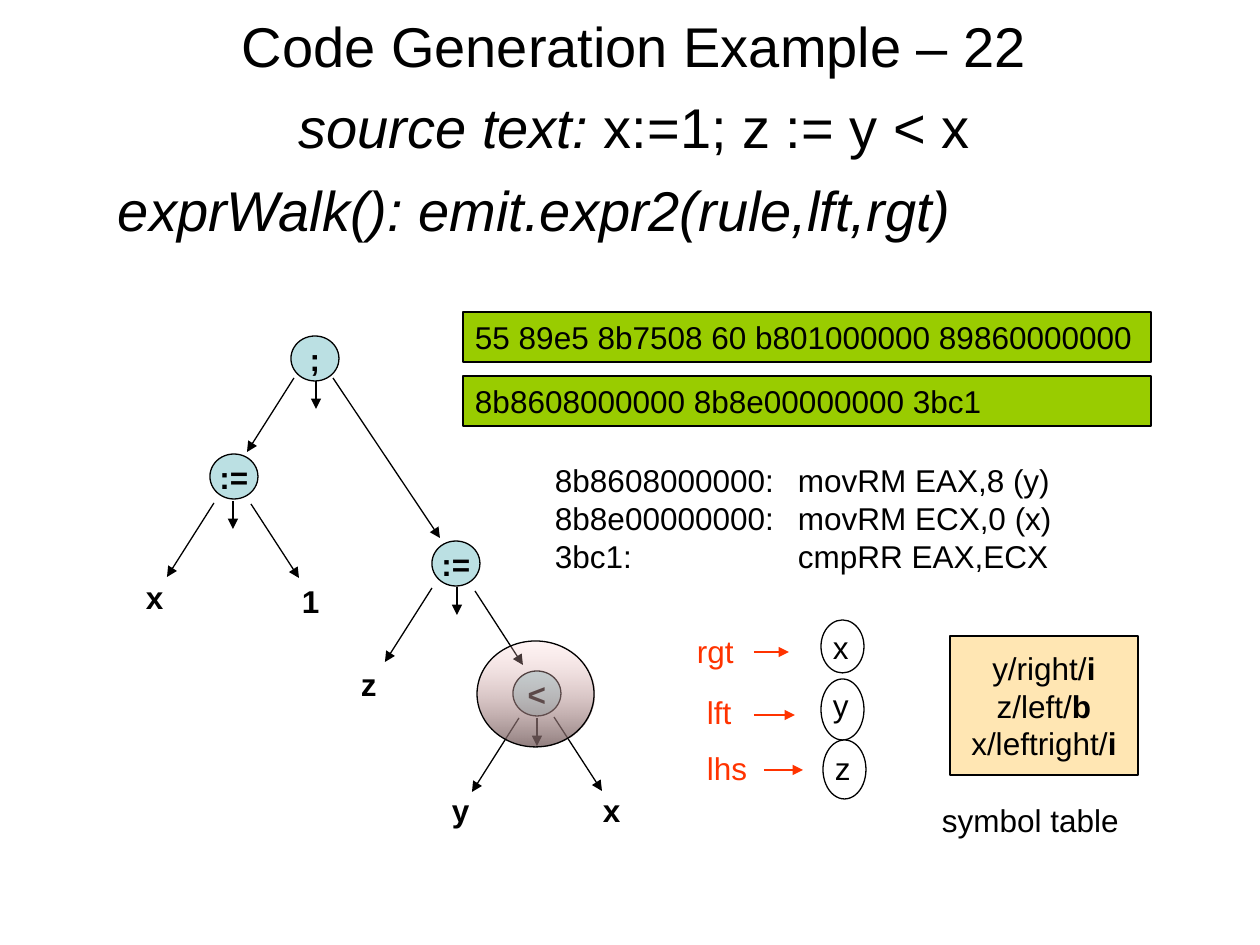
from lxml import etree
from pptx import Presentation, util as u
from pptx.dml.color import RGBColor
from pptx.enum import shapes, text
from pptx.oxml.ns import qn

PX = u.Inches(1) // 126
C = dict(black="000000", white="FFFFFF", node="BBE0E3", code="99CC00",
         table="FFE6B3", ref="FF3300", glow_top="FFCCCC", glow_bottom="755E5E")
SHAPE = shapes.MSO_SHAPE
LEFT, CENTER = text.PP_ALIGN.LEFT, text.PP_ALIGN.CENTER


def rgb(name):
    """Return the named colour."""
    return RGBColor.from_string(C[name])


def write(sp, lines, size=18, color="black", bold=None, align=LEFT,
          anchor=text.MSO_ANCHOR.TOP, wrap=True, inset=(12, 6)):
    """Fill a shape with lines, each a list of (text, format) runs or a string."""
    tf = sp.text_frame
    tf.word_wrap, tf.vertical_anchor = wrap, anchor
    tf.margin_left = tf.margin_right = inset[0] * PX
    tf.margin_top = tf.margin_bottom = inset[1] * PX
    for i, line in enumerate(lines):
        p = tf.paragraphs[0] if i == 0 else tf.add_paragraph()
        p.alignment = align
        p.font.name, p.font.size, p.font.bold = "Arial", u.Pt(size), bold
        p.font.color.rgb = rgb(color)
        for words, style in [(line, "")] if isinstance(line, str) else line:
            r = p.add_run()
            r.text = words
            if style:
                setattr(r.font, style, True)
    return tf


def label(s, x, y, w, h, lines, **fmt):
    """Add a text box."""
    return write(s.shapes.add_textbox(x * PX, y * PX, w * PX, h * PX), lines, **fmt)


def shape(s, kind, x, y, w, h, fill):
    """Add an outlined preset shape with a plain fill."""
    sp = s.shapes.add_shape(kind, x * PX, y * PX, w * PX, h * PX)
    sp.shadow.inherit = False
    sp.fill.solid()
    sp.fill.fore_color.rgb = rgb(fill)
    sp.line.color.rgb, sp.line.width = rgb("black"), u.Pt(0.75)
    return sp


def arrow(s, x, y, dx, dy, color="black"):
    """Add an arrow from a point by an offset."""
    cn = s.shapes.add_connector(shapes.MSO_CONNECTOR.STRAIGHT, x * PX, y * PX,
                                (x + dx) * PX, (y + dy) * PX)
    cn.line.color.rgb, cn.line.width = rgb(color), u.Pt(0.75)
    etree.SubElement(cn.line._get_or_add_ln(), qn("a:tailEnd"), type="triangle")
    etree.SubElement(cn._element.spPr, qn("a:effectLst"))


def heading(s, x, y, w):
    """Place the title and the two lines below it."""
    title = s.shapes.title
    title.left, title.top, title.width, title.height = (v * PX for v in (x, y, w, 65))
    write(title, ["Code Generation Example – 22"], size=32, align=CENTER, inset=(0, 0))
    tf = label(s, x, y + 81, w, 146,
               [[("source text:", "italic"), (" x:=1; z := y < x", "")],
                [("exprWalk(): emit.expr2(rule,lft,rgt)", "italic")]],
               size=32, align=CENTER, inset=(0, 0))
    p = tf.paragraphs[1]
    p.alignment, p.space_before = LEFT, u.Pt(9.5)
    p._p.get_or_add_pPr().set("marL", str(59 * PX))


def tree(s, x, y):
    """Draw the syntax tree with its current node highlighted."""
    nodes = [(";", 161, 6, (3, 42), (25, 45), (42, 42), (107, 160)),
             (":=", 80, 124, (4, 49), (23, 47), (41, 50), (48, 74)),
             (":=", 302, 211, (0, 47), (25, 46), (43, 50), (48, 74)),
             ("<", 383, 341, (6, 47), (24, 47), (41, 46), (48, 74))]
    for name, nx, ny, left, down, right, reach in nodes:
        nx, ny = x + nx, y + ny
        write(shape(s, SHAPE.OVAL, nx, ny, 48, 45, "node"), [name], bold=True,
              align=CENTER, anchor=text.MSO_ANCHOR.MIDDLE, wrap=False)
        for (ax, ay), offset in ((left, (-47, 74)), (down, (0, 28)), (right, reach)):
            arrow(s, nx + ax, ny + ay, *offset)
    for name, lx, ly in (("x", 4, 242), ("1", 160, 246), ("z", 219, 329),
                         ("y", 310, 455), ("x", 461, 455)):
        label(s, x + lx, y + ly, 60, 50, [name], bold=True)
    glow = shape(s, SHAPE.OVAL, x + 347, y + 311, 117, 106, "white")
    glow.fill.gradient()
    glow.fill.gradient_angle = 270
    for stop, color, alpha in zip(glow.fill.gradient_stops,
                                  ("glow_top", "glow_bottom"), (20, 80)):
        stop.color.rgb = rgb(color)
        clr = stop._gs.find(qn("a:srgbClr"))
        etree.SubElement(clr, qn("a:alpha"), val=str(alpha * 1000))
    for stop, pos in zip(glow.fill.gradient_stops, (0, 1)):
        stop.position = pos


def machine_code(s, x, y):
    """Place the emitted bytes and their disassembly."""
    for i, line in enumerate(("55 89e5 8b7508 60 b801000000 89860000000",
                              "8b8608000000 8b8e00000000 3bc1")):
        write(shape(s, SHAPE.RECTANGLE, x, y + 64 * i, 688, 50, "code"), [line])
    tf = label(s, x + 80, y + 143, 616, 126,
               ["8b8608000000:\tmovRM EAX,8 (y)", "8b8e00000000:\tmovRM ECX,0 (x)",
                "3bc1:\tcmpRR EAX,ECX"])
    for p in tf.paragraphs:
        pPr = p._p.get_or_add_pPr()
        tabs = etree.Element(qn("a:tabLst"))
        etree.SubElement(tabs, qn("a:tab"), pos=str(243 * PX), algn="l")
        pPr.find(qn("a:defRPr")).addprevious(tabs)


def references(s, x, y):
    """Place the rgt, lft and lhs names with arrows to their operands."""
    rows = [("rgt", 0, 6, "x", 136, 0, 53, 2, (69, 32, 35)),
            ("lft", 10, 67, "y", 136, 59, 61, 60, (69, 95, 41)),
            ("lhs", 10, 123, "z", 138, 120, 59, 123, (79, 150, 39))]
    for name, nx, ny, operand, ox, oy, oh, ty, (ax, ay, length) in rows:
        shape(s, SHAPE.OVAL, x + ox, y + oy, 43, oh, "white")
        label(s, x + nx, y + ny, 84, 50, [name], color="ref")
        arrow(s, x + ax, y + ay, length, 0, "ref")
        label(s, x + ox, y + ty, 70, 50, [operand])


def symbol_table(s, x, y):
    """Place the symbol table box and its caption."""
    rows = (("y/right/", "i"), ("z/left/", "b"), ("x/leftright/", "i"))
    write(shape(s, SHAPE.RECTANGLE, x, y, 188, 139, "table"),
          [[(name, ""), (kind, "bold")] for name, kind in rows],
          align=CENTER, anchor=text.MSO_ANCHOR.MIDDLE, wrap=False)
    label(s, x - 20, y + 159, 222, 50, ["symbol table"])


def main():
    """Build the slide and save it."""
    prs = Presentation()
    prs.slide_width, prs.slide_height = 1260 * PX, 945 * PX
    s = prs.slides.add_slide(prs.slide_layouts[5])
    heading(s, 59, 11, 1151)
    tree(s, 130, 330)
    machine_code(s, 463, 312)
    references(s, 685, 620)
    symbol_table(s, 950, 636)
    prs.save("out.pptx")


if __name__ == "__main__":
    main()
